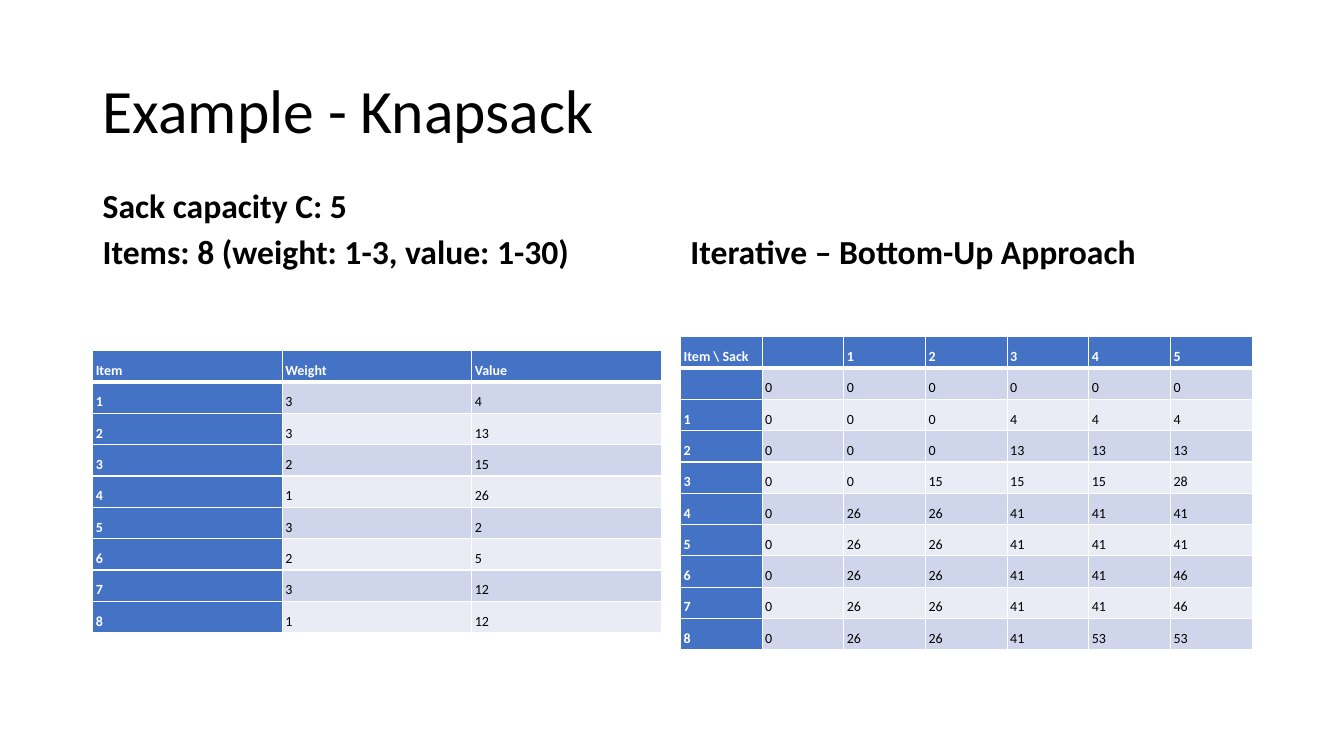
from dataclasses import dataclass

from lxml.etree import SubElement
from pptx import Presentation
from pptx.dml.color import RGBColor
from pptx.enum.text import MSO_ANCHOR as Anchor, PP_ALIGN as Align
from pptx.oxml.ns import qn
from pptx.util import Inches, Pt


@dataclass(frozen=True)
class Theme:
    """Colours, font and type sizes of the slide."""
    font: str = "Calibri"
    ink: str = "000000"
    paper: str = "FFFFFF"
    accent: str = "4472C4"
    bands: tuple = ("CFD5EA", "E9EBF5")
    title_size: int = 44
    heading_size: int = 24
    cell_size: int = 10
    grid_width: int = 1
    header_rule_width: int = 3


@dataclass(frozen=True)
class Box:
    """A rectangle in inches."""
    left: float
    top: float
    width: float
    height: float

    def lengths(self):
        """Return left, top, width and height as lengths."""
        return [Inches(value) for value in (self.left, self.top, self.width, self.height)]


THEME = Theme()

TITLE_BOX = Box(0.92, 0.4, 11.5, 1.45)
ITEMS_HEADING_BOX = Box(0.92, 1.84, 5.64, 0.9)
ITEMS_TABLE_BOX = Box(0.92, 3.48, 5.64, 2.57)
SOLUTION_HEADING_BOX = Box(6.75, 1.84, 5.67, 0.9)
SOLUTION_TABLE_BOX = Box(6.75, 3.34, 5.67, 2.86)

ITEMS = [
    ("Item", "Weight", "Value"),
    (1, 3, 4),
    (2, 3, 13),
    (3, 2, 15),
    (4, 1, 26),
    (5, 3, 2),
    (6, 2, 5),
    (7, 3, 12),
    (8, 1, 12),
]
SOLUTION = [
    ("Item \\ Sack", "", 1, 2, 3, 4, 5),
    ("", 0, 0, 0, 0, 0, 0),
    (1, 0, 0, 0, 4, 4, 4),
    (2, 0, 0, 0, 13, 13, 13),
    (3, 0, 0, 15, 15, 15, 28),
    (4, 0, 26, 26, 41, 41, 41),
    (5, 0, 26, 26, 41, 41, 41),
    (6, 0, 26, 26, 41, 41, 46),
    (7, 0, 26, 26, 41, 41, 46),
    (8, 0, 26, 26, 41, 53, 53),
]


def style_font(paragraph, size, color, bold):
    """Set the font of a whole paragraph."""
    font = paragraph.font
    font.name = THEME.font
    font.size = Pt(size)
    font.bold = bold
    font.color.rgb = RGBColor.from_string(color)


def add_text(slide, box, lines, size, anchor, line_spacing, space_before=0, bold=False):
    """Add a text box with one paragraph per line."""
    frame = slide.shapes.add_textbox(*box.lengths()).text_frame
    frame.word_wrap = True
    frame.vertical_anchor = anchor
    frame.text = "\n".join(lines)
    for paragraph in frame.paragraphs:
        paragraph.line_spacing = line_spacing
        paragraph.space_before = Pt(space_before)
        style_font(paragraph, size, THEME.ink, bold)


def add_heading(slide, box, lines):
    """Add the bold heading above a table."""
    add_text(slide, box, lines, THEME.heading_size, Anchor.BOTTOM, 0.8, 10, True)


def add_borders(cell, row_index):
    """Draw the cell borders, with a heavy rule below the header row."""
    properties = cell._tc.get_or_add_tcPr()
    heavy_side = {0: "lnB", 1: "lnT"}.get(row_index)
    for side in ("lnL", "lnR", "lnT", "lnB"):
        width = THEME.header_rule_width if side == heavy_side else THEME.grid_width
        line = SubElement(properties, qn(f"a:{side}"), w=str(Pt(width)))
        fill = SubElement(line, qn("a:solidFill"))
        SubElement(fill, qn("a:srgbClr"), val=THEME.paper)


def fill_cell(cell, value, row_index, is_header):
    """Write and style one table cell."""
    cell.margin_left = cell.margin_right = Inches(0.03)
    cell.margin_top = cell.margin_bottom = Inches(0.03)
    add_borders(cell, row_index)
    color = THEME.accent if is_header else THEME.bands[(row_index - 1) % 2]
    cell.fill.solid()
    cell.fill.fore_color.rgb = RGBColor.from_string(color)
    cell.text = str(value)
    paragraph = cell.text_frame.paragraphs[0]
    paragraph.alignment = Align.JUSTIFY
    paragraph.line_spacing = 1.5
    style_font(paragraph, THEME.cell_size, THEME.paper if is_header else THEME.ink, is_header)
    if value == "":
        SubElement(paragraph._p, qn("a:endParaRPr"), sz=str(THEME.cell_size * 100))


def add_grid(slide, box, rows):
    """Add a banded table with a header row and a header column."""
    frame = slide.shapes.add_table(len(rows), len(rows[0]), *box.lengths())
    table = frame.table
    table.first_col = True
    for row_index, row in enumerate(rows):
        for column_index, value in enumerate(row):
            is_header = row_index == 0 or column_index == 0
            fill_cell(table.cell(row_index, column_index), value, row_index, is_header)


def build_knapsack_slide(presentation):
    """Add the slide comparing the items with the bottom-up solution."""
    slide = presentation.slides.add_slide(presentation.slide_layouts[6])
    add_text(slide, TITLE_BOX, ["Example - Knapsack"], THEME.title_size, Anchor.MIDDLE, 0.9)
    add_heading(slide, ITEMS_HEADING_BOX,
                ["Sack capacity C: 5", "Items: 8 (weight: 1-3, value: 1-30)"])
    add_grid(slide, ITEMS_TABLE_BOX, ITEMS)
    add_heading(slide, SOLUTION_HEADING_BOX, ["Iterative – Bottom-Up Approach"])
    add_grid(slide, SOLUTION_TABLE_BOX, SOLUTION)


def main():
    """Build and save the presentation."""
    presentation = Presentation()
    presentation.slide_width = Inches(13.33)
    presentation.slide_height = Inches(7.5)
    build_knapsack_slide(presentation)
    presentation.save("out.pptx")


if __name__ == "__main__":
    main()
